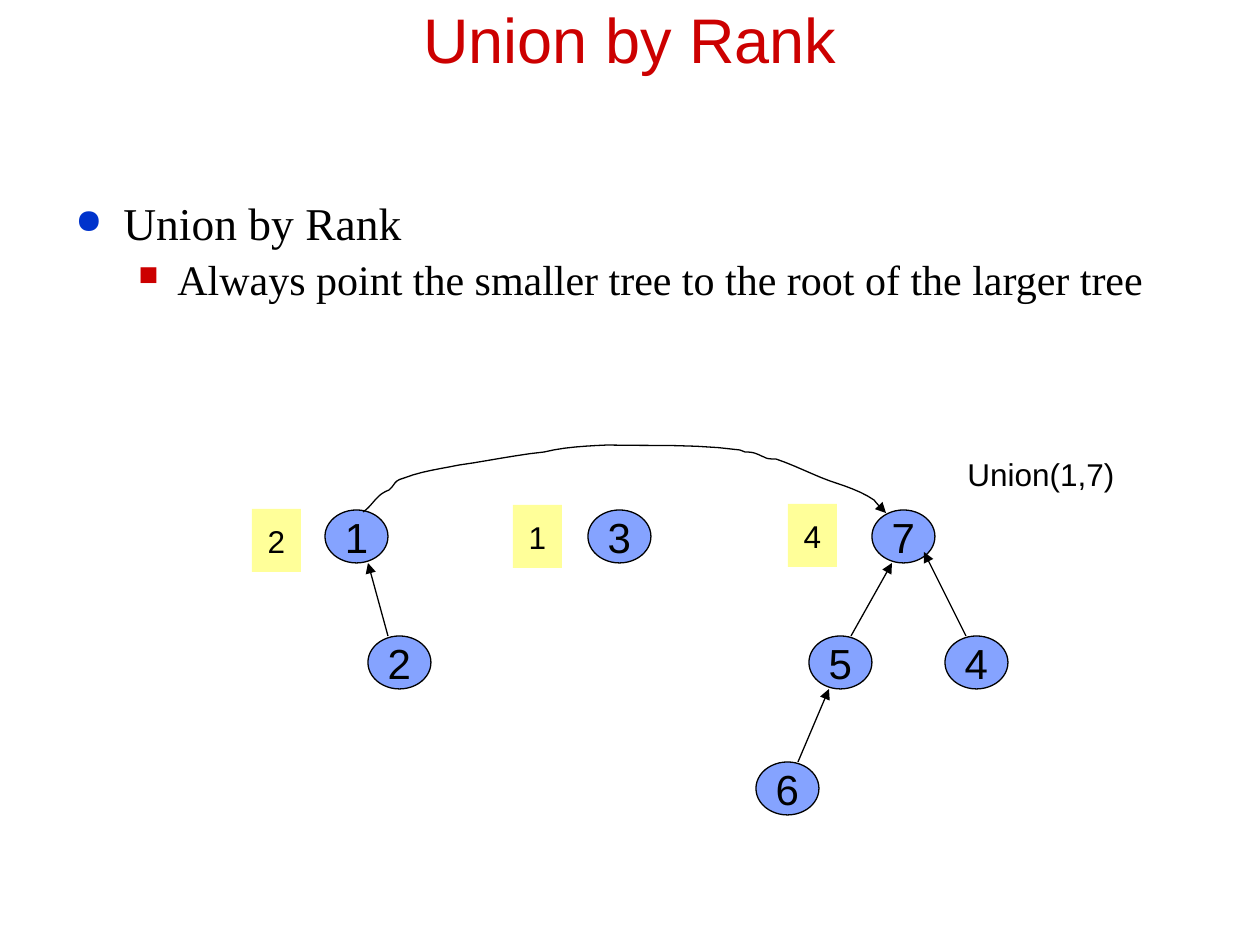
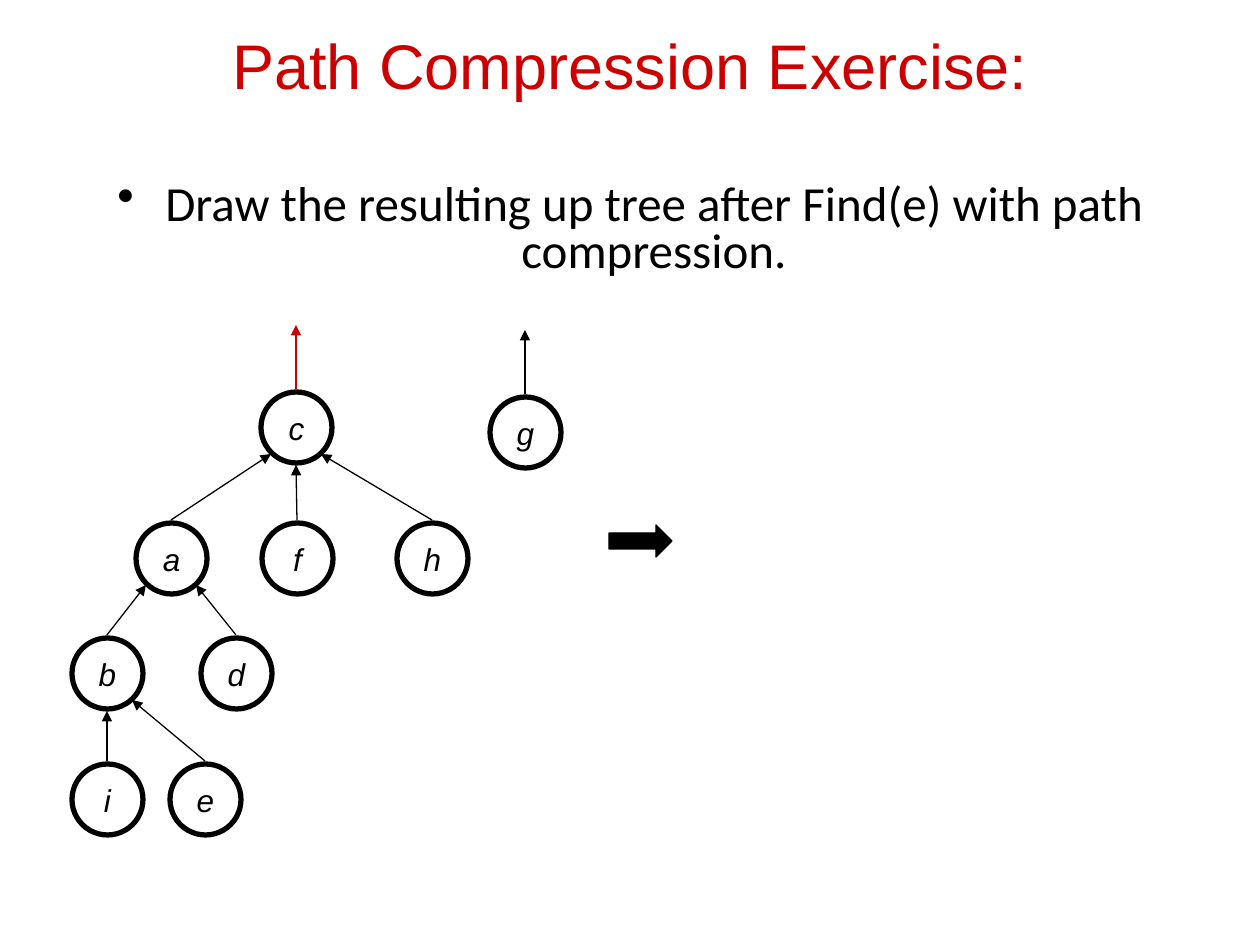
import pptx
import pptx.dml.color
import pptx.enum.shapes
import pptx.enum.text
import pptx.oxml.ns
import pptx.util
from lxml import etree

RGB = pptx.dml.color.RGBColor
RED = RGB(0xCC, 0x00, 0x00)
BLUE = RGB(0x00, 0x33, 0xCC)
BLACK = RGB(0x00, 0x00, 0x00)
NODE = RGB(0x85, 0xA3, 0xFF)
YELLOW = RGB(0xFF, 0xFF, 0x99)
KIND = pptx.enum.shapes.MSO_SHAPE
ALIGN = pptx.enum.text.PP_ALIGN
MIDDLE = pptx.enum.text.MSO_ANCHOR.MIDDLE
GROW = pptx.enum.text.MSO_AUTO_SIZE.SHAPE_TO_FIT_TEXT
Pt = pptx.util.Pt
qn = pptx.oxml.ns.qn

SCALE = 914400 / 126  # EMU in one px

TITLE = {"name": "Arial", "size": Pt(36)}
RANK = {"name": "Arial", "size": Pt(24)}
LABEL = {"name": "Arial", "size": Pt(18)}
LETTER = {"name": "Arial", "size": Pt(18), "italic": True}
CENTRE = {"vertical_anchor": MIDDLE, "word_wrap": False}
BODY = {"word_wrap": True}
LOOSE = {"word_wrap": False, "auto_size": GROW}

# text, font, spacing, level, bullet (mark, colour, percent, margin, indent)
RULES = [
    ("Union by Rank", {"name": "Times New Roman", "size": Pt(26)},
     {"line_spacing": 0.9, "space_before": Pt(5)},
     ("●", BLUE, 75, 48, -48)),
    ("Always point the smaller tree to the root of the larger tree",
     {"name": "Times New Roman", "size": Pt(24)},
     {"line_spacing": 0.9, "space_before": Pt(5), "level": 1},
     ("■", RED, 65, 102, -39)),
]
TASK = [
    ("Draw the resulting up tree after Find(e) with path compression.",
     {"name": "Calibri", "size": Pt(28)},
     {"line_spacing": 0.8, "space_before": Pt(5), "alignment": ALIGN.CENTER},
     ("•", BLACK, 100, 48, -48)),
]

SETS = {"1": (325, 510), "2": (368, 636), "3": (588, 510), "4": (945, 636),
        "5": (809, 636), "6": (756, 762), "7": (872, 510)}
LINKS = [(388, 636, 368, 563), (851, 636, 892, 563),
         (966, 636, 924, 552), (798, 762, 829, 689)]
SIZES = [("2", 252, 509), ("4", 788, 504), ("1", 513, 505)]

# start point, then two controls and an end for each bend
START = (363, 512)
BENDS = [
    ((369, 508), (372, 503), (377, 498)),
    ((379, 496), (381, 494), (383, 493)),
    ((386, 491), (387, 491), (389, 490)),
    ((396, 484), (393, 481), (404, 478)),
    ((422, 471), (440, 469), (459, 465)),
    ((488, 461), (515, 455), (544, 452)),
    ((564, 447), (586, 446), (607, 445)),
    ((655, 446), (696, 444), (740, 450)),
    ((742, 451), (743, 451), (745, 452)),
    ((748, 452), (753, 452), (757, 454)),
    ((760, 455), (761, 456), (764, 457)),
    ((767, 459), (771, 459), (776, 459)),
    ((794, 465), (811, 474), (830, 481)),
    ((845, 486), (861, 491), (874, 500)),
    ((878, 505), (882, 509), (886, 513)),
]

TREE = {"f": (262, 523), "h": (397, 523), "a": (136, 523), "b": (72, 638),
        "c": (261, 392), "d": (201, 638), "e": (170, 764), "g": (490, 397),
        "i": (72, 764)}
# child, parent, side of the parent that is reached
EDGES = [("a", "c", -1), ("f", "c", 0), ("h", "c", 1), ("b", "a", -1),
         ("d", "a", 1), ("i", "b", 0), ("e", "b", 1)]
ROOTS = {"c": RED, "g": BLACK}
RING = 71


def px(*vals):
    return [pptx.util.Emu(round(v * SCALE)) for v in vals]


def put(item, vals):
    for key, val in vals.items():
        setattr(item, key, val)


def write(para, text, font):
    run = para.add_run()
    run.text = text
    put(run.font, font)
    run.font.color.rgb = font_hue(font)


def font_hue(font):
    return RED if font is TITLE else BLACK


def label(shape, text, font, frame):
    put(shape.text_frame, frame)
    para = shape.text_frame.paragraphs[0]
    para.alignment = ALIGN.CENTER
    write(para, text, font)


def title(slide, text, top):
    label(slide.shapes.add_textbox(*px(63, top, 1134, 64)), text, TITLE,
          {"vertical_anchor": MIDDLE, "word_wrap": True})


def mark(para, sign, hue, size, left, indent):
    """Give a paragraph its bullet."""
    props = para._p.get_or_add_pPr()
    for key, val in zip(("marL", "indent"), px(left, indent)):
        props.set(key, str(val))
    tint = etree.SubElement(props, qn("a:buClr"))
    etree.SubElement(tint, qn("a:srgbClr"), val=str(hue))
    etree.SubElement(props, qn("a:buSzPct"), val=str(size * 1000))
    etree.SubElement(props, qn("a:buChar"), char=sign)


def body(slide, items, top, high):
    frame = slide.shapes.add_textbox(*px(63, top, 1134, high)).text_frame
    put(frame, BODY)
    for num, (text, font, space, dot) in enumerate(items):
        para = frame.add_paragraph() if num else frame.paragraphs[0]
        put(para, space)
        mark(para, *dot)
        write(para, text, font)


def draw(slide, kind, box, fill=None, line=None):
    shape = slide.shapes.add_shape(kind, *px(*box))
    paint(shape, fill, line)
    return shape


def paint(shape, fill, line):
    shape.shadow.inherit = False
    for part, hue in ((shape.fill, fill), (shape.line.fill, BLACK if line else None)):
        if hue is None:
            part.background()
        else:
            part.solid()
            part.fore_color.rgb = hue
    if line:
        shape.line.width = Pt(line)


def tip(line):
    """End a line in a triangle."""
    etree.SubElement(line.line._get_or_add_ln(), qn("a:tailEnd"), type="triangle")


def arrow(slide, ends, hue=BLACK):
    kind = pptx.enum.shapes.MSO_CONNECTOR.STRAIGHT
    line = slide.shapes.add_connector(kind, *px(*ends))
    line.line.color.rgb = hue
    line.line.width = Pt(0.75)
    etree.SubElement(line._element.spPr, qn("a:effectLst"))
    tip(line)


def curve(start, bends, steps=6):
    """Points along a chain of cubic bends."""
    dots = []
    for one, two, end in bends:
        for step in range(1, steps + 1):
            t = step / steps
            u = 1 - t
            dots.append(px(*(
                u**3 * a + 3 * u * u * t * b + 3 * u * t * t * c + t**3 * d
                for a, b, c, d in zip(start, one, two, end))))
        start = end
    return dots


def union(slide):
    title(slide, "Union by Rank", 6)
    body(slide, RULES, 195, 222)
    for name, spot in SETS.items():
        node = draw(slide, KIND.OVAL, (*spot, 63, 53), NODE, 0.75)
        label(node, name, RANK, CENTRE)
    for ends in LINKS:
        arrow(slide, ends)
    pen = slide.shapes.build_freeform(*px(*START))
    pen.add_line_segments(curve(START, BENDS), close=False)
    arc = pen.convert_to_shape()
    paint(arc, None, 0.75)
    tip(arc)
    call = slide.shapes.add_textbox(*px(954, 449, 174, 50))
    label(call, "Union(1,7)", LABEL, LOOSE)
    for text, left, top in SIZES:
        label(draw(slide, KIND.RECTANGLE, (left, top, 49, 63), YELLOW),
              text, LABEL, LOOSE)


def compress(slide):
    title(slide, "Path Compression Exercise:", 32)
    draw(slide, KIND.RIGHT_ARROW, (609, 525, 63, 32), BLACK, 0.75)
    half = RING // 2
    for name, spot in TREE.items():
        ring = draw(slide, KIND.OVAL, (*spot, RING, RING), None, 3)
        label(ring, name, LETTER, CENTRE)
    for kid, top, side in EDGES:
        (x, y), (left, high) = TREE[kid], TREE[top]
        arrow(slide, (x + half, y - 3, left + half + 25 * side,
                      high + (62 if side else 73)))
    for name, hue in ROOTS.items():
        x, y = TREE[name]
        arrow(slide, (x + half, y - 3, x + half, y - 67), hue)
    body(slide, TASK, 178, 116)


def main():
    deck = pptx.Presentation()
    deck.slide_width, deck.slide_height = px(1260, 945)
    for fill in (union, compress):
        fill(deck.slides.add_slide(deck.slide_layouts[6]))
    deck.save("out.pptx")


if __name__ == "__main__":
    main()
